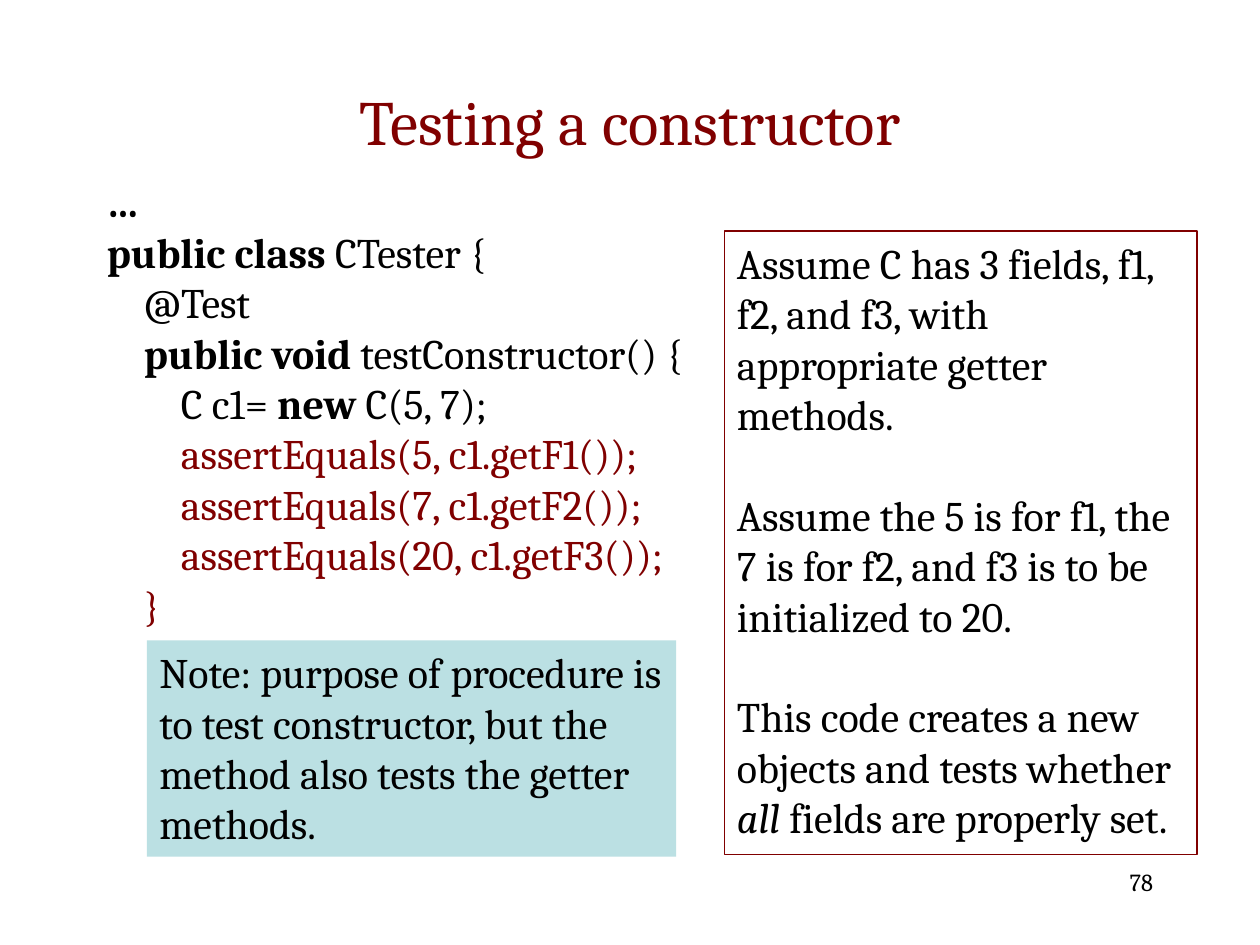
"""Build the slide on testing a constructor."""
import pptx
import pptx.dml.color
import pptx.enum.shapes
import pptx.enum.text
import pptx.util

FONT = "Cambria"
BLACK, MAROON, PALE_BLUE = "000000", "800000", "BBE0E3"
LINE_GAP = 28.8
ALIGN = pptx.enum.text.PP_ALIGN
ANCHOR = pptx.enum.text.MSO_ANCHOR

TITLE = [[("Testing a constructor", "")]]
PAGE_NUMBER = [[("78", "")]]
CODE = [
    [("…", "bold")],
    [("public class ", "bold"), ("CTester {", "")],
    [("    @Test", "")],
    [("    ", ""), ("public void ", "bold"), ("testConstructor() {", "")],
    [("        C c1= ", ""), ("new", "bold"), (" C(5, 7);", "")],
    [("        assertEquals(5, c1.getF1());", "maroon")],
    [("        assertEquals(7, c1.getF2());", "maroon")],
    [("        assertEquals(20, c1.getF3());", "maroon")],
    [("    }", "maroon")],
]
ASSUMPTIONS = [
    [("Assume C has 3 fields, f1, f2, and f3, with appropriate getter methods.", "")],
    [("Assume the 5 is for f1, the 7 is for f2, and f3 is to be initialized to 20.", "")],
    [("This code creates a new objects and tests whether ", ""), ("all", "italic"),
     (" fields are properly set.", "")],
]
NOTE = [[("Note: purpose of procedure is to test constructor, "
          "but the method also tests the getter methods.", "")]]


def rgb(value):
    return pptx.dml.color.RGBColor.from_string(value)


def write(shape, paragraphs, size=24, color=BLACK, align=ALIGN.LEFT, anchor=ANCHOR.TOP, gap=0):
    frame = shape.text_frame
    frame.word_wrap = True
    frame.vertical_anchor = anchor
    for index, spans in enumerate(paragraphs):
        para = frame.add_paragraph() if index else frame.paragraphs[0]
        para.alignment = align
        if index and gap:
            para.space_before = pptx.util.Pt(gap)
        for text, style in spans:
            span = para.add_run()
            span.text = text
            span.font.name = FONT
            span.font.size = pptx.util.Pt(size)
            span.font.bold = style == "bold"
            span.font.italic = style == "italic"
            span.font.color.rgb = rgb(MAROON if style == "maroon" else color)


def add_text(page, area, paragraphs, **options):
    box = page.shapes.add_textbox(*map(pptx.util.Pt, area))
    write(box, paragraphs, **options)


def add_panel(page, area, paragraphs, fill=None, line=None, **options):
    panel = page.shapes.add_shape(
        pptx.enum.shapes.MSO_SHAPE.RECTANGLE, *map(pptx.util.Pt, area))
    panel.shadow.inherit = False
    if fill:
        panel.fill.solid()
        panel.fill.fore_color.rgb = rgb(fill)
    else:
        panel.fill.background()
    if line:
        panel.line.color.rgb = rgb(line)
        panel.line.width = pptx.util.Pt(0.75)
    else:
        panel.line.fill.background()
    write(panel, paragraphs, **options)


def main():
    deck = pptx.Presentation()
    deck.slide_width, deck.slide_height = pptx.util.Pt(720), pptx.util.Pt(540)
    page = deck.slides.add_slide(deck.slide_layouts[6])
    add_text(page, (54, 48, 612, 42), TITLE, size=36, color=MAROON,
             align=ALIGN.CENTER, anchor=ANCHOR.MIDDLE)
    add_text(page, (516, 492, 150, 36), PAGE_NUMBER, size=14, align=ALIGN.RIGHT)
    add_text(page, (54, 97, 384, 269), CODE)
    add_panel(page, (414, 132, 270, 356.4), ASSUMPTIONS, line=MAROON, gap=LINE_GAP)
    add_panel(page, (84, 366, 302.4, 123.6), NOTE, fill=PALE_BLUE)
    deck.save("out.pptx")


if __name__ == "__main__":
    main()
